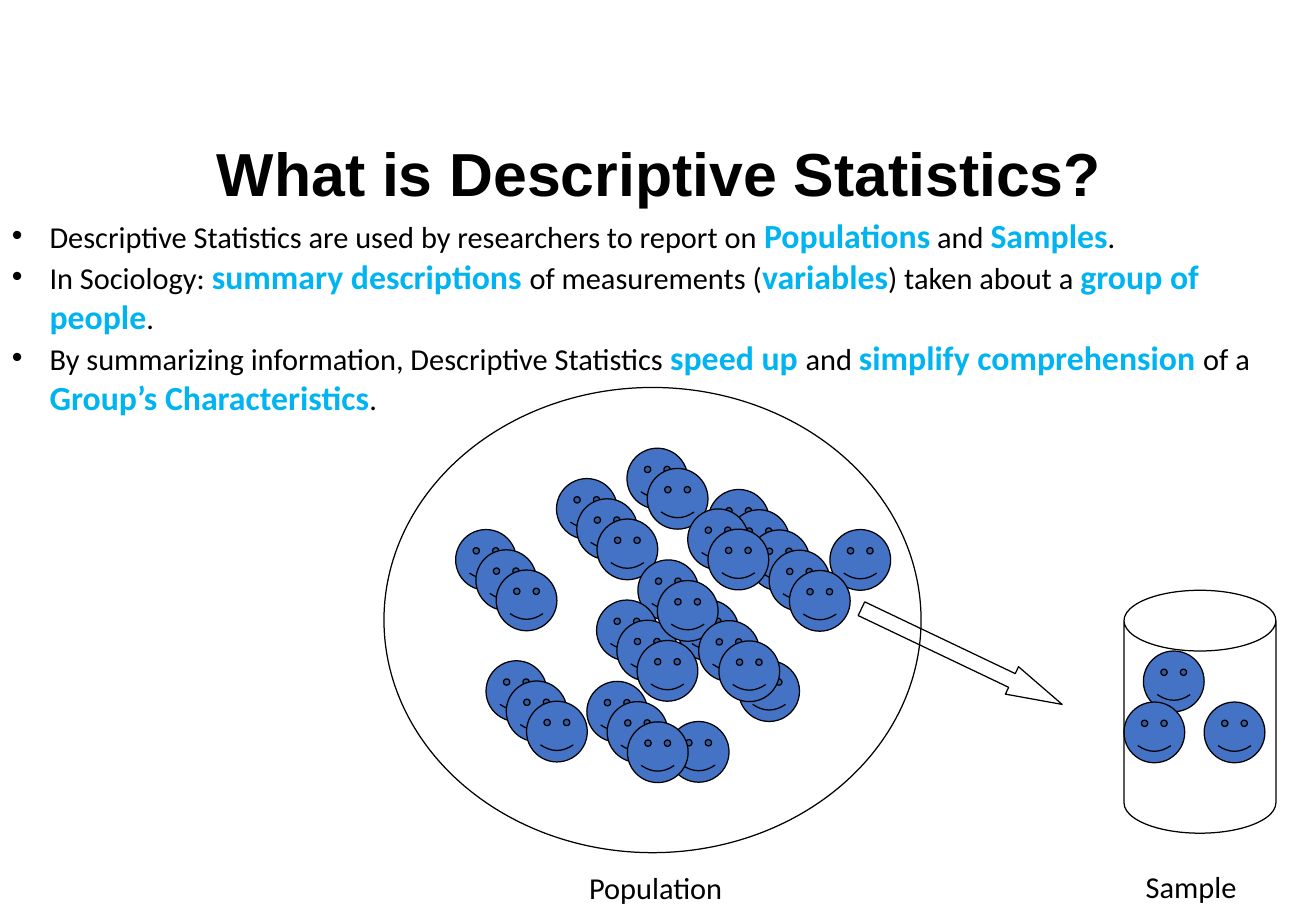
from pptx import Presentation, util as u
from pptx.dml.color import RGBColor
from pptx.enum import shapes, text
from pptx.oxml.xmlchemy import OxmlElement

BLACK = RGBColor(0x00, 0x00, 0x00)
ACCENT = RGBColor(0x00, 0xB4, 0xF1)
FACE_BLUE = RGBColor(0x44, 0x72, 0xC4)

TITLE = {"name": "Arial", "size": u.Pt(36), "bold": True}
PLAIN = {"name": "Calibri", "size": u.Pt(18), "bold": False}
STRONG = {"name": "Calibri", "size": u.Pt(20), "bold": True}

FACE_SIZE = 0.5
FACE_STEP = 1 / 6
HANGING_INDENT = 0.31

POINTS = [
    "Descriptive Statistics are used by researchers to report on *Populations* and *Samples*.",
    "In Sociology: *summary descriptions *of measurements (*variables*) taken about a "
    "*group of people*.",
    "By summarizing information, Descriptive Statistics *speed up *and "
    "*simplify comprehension *of a *Group’s Characteristics*.",
]

POPULATION_ROWS = [
    (4.58, 3.94, 3), (5.16, 3.69, 2), (5.25, 4.61, 1), (6.83, 4.36, 1),
    (5.83, 4.03, 5), (6.08, 5.44, 1), (5.5, 5.94, 1), (4, 5.44, 3),
    (5.58, 4.94, 1), (4.91, 4.94, 3), (3.75, 4.36, 3), (4.83, 5.61, 3),
    (5.41, 4.78, 1), (5.66, 4.19, 2), (5.75, 5.11, 2),
]
SAMPLE_ROWS = [(9.41, 5.36, 1), (9.91, 5.78, 1), (9.25, 5.78, 1)]


def add_span(para, words, style, color=BLACK):
    """Append one formatted span to a paragraph."""
    span = para.add_run()
    span.text = words
    for name, value in style.items():
        setattr(span.font, name, value)
    span.font.color.rgb = color


def add_box(page, area, wrap=True):
    """Add an empty text box and return its frame."""
    frame = page.shapes.add_textbox(*map(u.Inches, area)).text_frame
    frame.word_wrap = wrap
    return frame


def add_line_of_text(page, area, words, style, wrap=True, align=text.PP_ALIGN.LEFT):
    """Add a text box holding one line in one style."""
    para = add_box(page, area, wrap).paragraphs[0]
    para.alignment = align
    add_span(para, words, style)


def add_bullet(para):
    """Give a paragraph a hanging round bullet."""
    properties = para._p.get_or_add_pPr()
    properties.set("marL", str(u.Inches(HANGING_INDENT)))
    properties.set("indent", str(-u.Inches(HANGING_INDENT)))
    for tag, name, value in (("a:buFont", "typeface", "Arial"), ("a:buChar", "char", "•")):
        element = OxmlElement(tag)
        element.set(name, value)
        properties.append(element)


def add_points(page, area, points):
    """Add bulleted paragraphs whose starred words are emphasised."""
    frame = add_box(page, area)
    for index, point in enumerate(points):
        para = frame.add_paragraph() if index else frame.paragraphs[0]
        add_bullet(para)
        for position, words in enumerate(point.split("*")):
            if position % 2:
                add_span(para, words, STRONG, ACCENT)
            else:
                add_span(para, words, PLAIN)


def add_outline(page, kind, area, fill=None):
    """Add a preset shape with a thin black outline."""
    shape = page.shapes.add_shape(kind, *map(u.Inches, area))
    shape.shadow.inherit = False
    shape.line.color.rgb = BLACK
    shape.line.width = u.Pt(0.75)
    if fill is None:
        shape.fill.background()
    else:
        shape.fill.solid()
        shape.fill.fore_color.rgb = fill
    return shape


def add_faces(page, rows):
    """Add diagonal rows of overlapping faces."""
    for left, top, count in rows:
        for index in range(count):
            shift = index * FACE_STEP
            area = (left + shift, top + shift, FACE_SIZE, FACE_SIZE)
            add_outline(page, shapes.MSO_SHAPE.SMILEY_FACE, area, FACE_BLUE)


def add_sampling_arrow(page):
    """Add the block arrow leading from the population to the sample."""
    arrow = add_outline(page, shapes.MSO_SHAPE.LEFT_ARROW, (7, 5.28, 1.83, 0.25))
    arrow.adjustments[1] = 1.83
    arrow.rotation = 205.5


def main():
    """Build and save the deck."""
    deck = Presentation()
    deck.slide_width, deck.slide_height = u.Inches(10.83), u.Inches(7.5)
    page = deck.slides.add_slide(deck.slide_layouts[6])

    add_line_of_text(page, (1.65, 1.07, 7.55, 0.71), "What is Descriptive Statistics?",
                     TITLE, wrap=False, align=text.PP_ALIGN.CENTER)
    add_points(page, (0, 1.72, 10.83, 2.09), POINTS)

    add_outline(page, shapes.MSO_SHAPE.OVAL, (3.16, 3.19, 4.42, 3.83))
    add_faces(page, POPULATION_ROWS)
    add_line_of_text(page, (4.75, 7.11, 1.83, 0.4), "Population", PLAIN)

    add_sampling_arrow(page)
    add_faces(page, SAMPLE_ROWS)
    can = add_outline(page, shapes.MSO_SHAPE.CAN, (9.25, 4.86, 1.25, 2))
    can.adjustments[0] = 0.4
    add_line_of_text(page, (9.33, 7.1, 1.08, 0.4), "Sample", PLAIN)

    deck.save("out.pptx")


if __name__ == "__main__":
    main()
